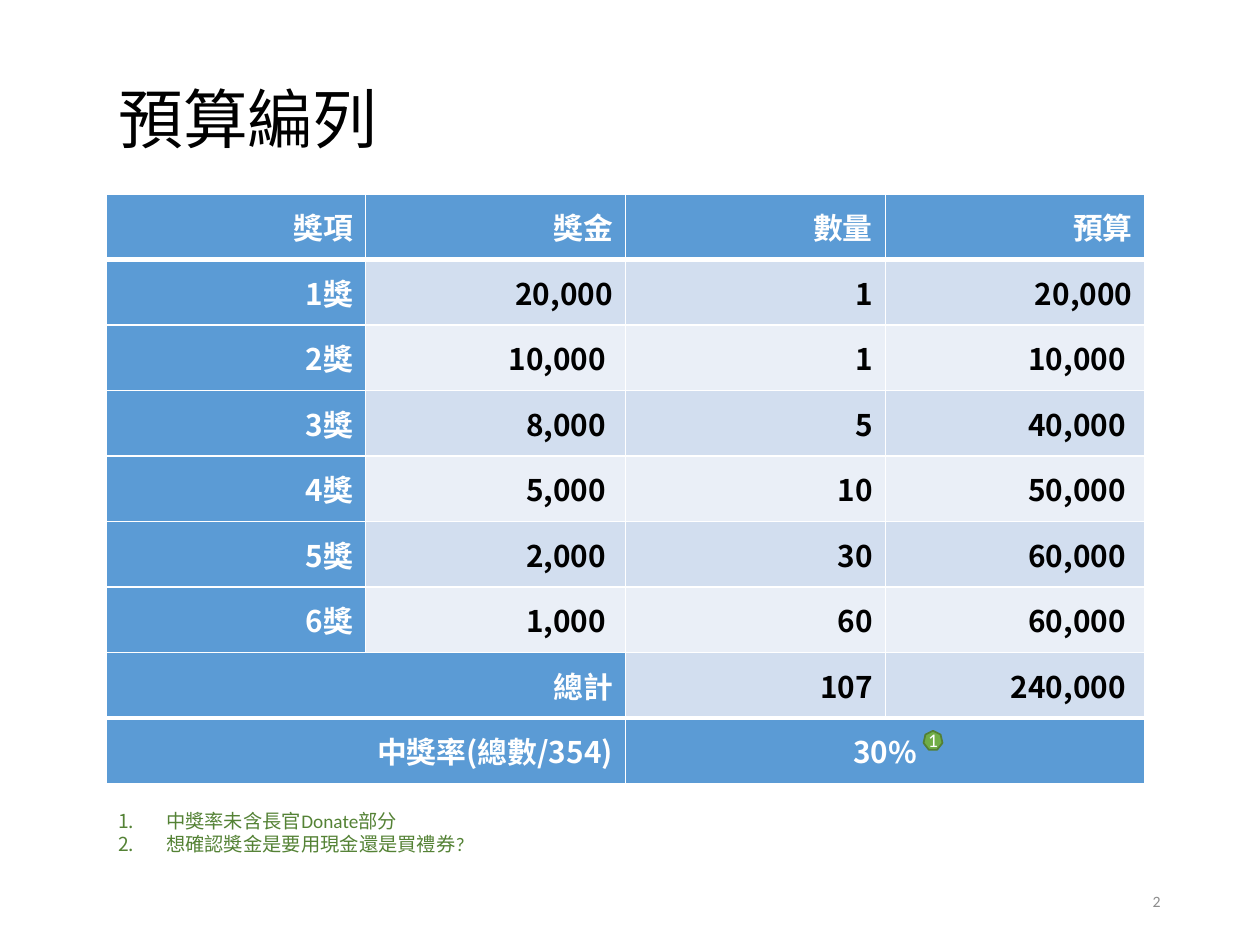
from lxml.etree import SubElement
from pptx import Presentation
from pptx.dml.color import RGBColor
from pptx.enum.shapes import MSO_SHAPE
from pptx.enum.text import MSO_ANCHOR, PP_ALIGN
from pptx.oxml.ns import qn
from pptx.util import Inches, Pt

# Content
TITLE = "預算編列"
HEAD = ("獎項", "獎金", "數量", "預算")
PRIZES = [
    ("1獎", "20,000", "1", "20,000"),
    ("2獎", "10,000 ", "1", "10,000 "),
    ("3獎", "8,000 ", "5", "40,000 "),
    ("4獎", "5,000 ", "10", "50,000 "),
    ("5獎", "2,000 ", "30", "60,000 "),
    ("6獎", "1,000 ", "60", "60,000 "),
]
TOTAL = ("總計", "", "107", "240,000 ")
RATE = ("中獎率(總數/354)", "", "30%", "")
NOTES = ["中獎率未含長官Donate部分", "想確認獎金是要用現金還是買禮券?"]
MARK, PAGE = "1", "2"

# Look
COLORS = {"white": "FFFFFF", "black": "000000", "blue": "5B9BD5",
          "odd": "D2DEEF", "even": "EAEFF7", "green": "70AD47",
          "edge": "538035", "note": "548235", "gray": "8C8C8C"}
CJK, LATIN = "Noto Sans CJK SC", "Calibri"
FONTS = {
    "title": {"size": Pt(37), "name": CJK, "bold": False},
    "cell": {"size": Pt(17), "name": CJK, "bold": True},
    "note": {"size": Pt(11), "name": LATIN},
    "page": {"size": Pt(9), "name": LATIN},
}
LEFT, WIDTH, TOP, ROW = 0.84, 8.25, 1.54, 0.52


def color(key):
    return RGBColor.from_string(COLORS[key])


def write(para, text, font, ink, align=PP_ALIGN.LEFT):
    run = para.add_run()
    run.text = text
    para.alignment = align
    for key, value in FONTS[font].items():
        setattr(run.font, key, value)
    run.font.color.rgb = color(ink)
    SubElement(run._r.get_or_add_rPr(), qn("a:ea"), typeface=CJK)


def border(cell, top, bottom):
    props = cell._tc.get_or_add_tcPr()
    for i, (side, size) in enumerate(
            (("L", 1), ("R", 1), ("T", top), ("B", bottom))):
        line = props.makeelement(qn("a:ln" + side), {"w": str(Pt(size))})
        fill = SubElement(line, qn("a:solidFill"))
        SubElement(fill, qn("a:srgbClr"), val=COLORS["white"])
        props.insert(i, line)


def box(slide, *area):
    frame = slide.shapes.add_textbox(*map(Inches, area)).text_frame
    frame.word_wrap = True
    return frame


def add_title(slide):
    title = slide.shapes.title
    title.left, title.top, title.width, title.height = map(
        Inches, (LEFT, 0.54, 7.97, 0.87))
    title.text_frame.vertical_anchor = MSO_ANCHOR.MIDDLE
    para = title.text_frame.paragraphs[0]
    para.line_spacing = 0.9
    write(para, TITLE, "title", "black")


def add_budget(slide):
    rows = [HEAD, *PRIZES, TOTAL, RATE]
    last = len(rows) - 1
    table = slide.shapes.add_table(
        len(rows), len(HEAD), Inches(LEFT), Inches(TOP),
        Inches(WIDTH), Inches(ROW * len(rows))).table
    table.first_col = table.last_row = True
    for r, row in enumerate(rows):
        for c, text in enumerate(row):
            cell = table.cell(r, c)
            strong = r in (0, last) or c == 0 or (r == last - 1 and c == 1)
            fill = "blue" if strong else "odd" if r % 2 else "even"
            cell.fill.solid()
            cell.fill.fore_color.rgb = color(fill)
            cell.vertical_anchor = MSO_ANCHOR.MIDDLE
            border(cell, 3 if r in (1, last) else 1,
                   3 if r in (0, last - 1) else 1)
            if text:
                center = r == last and c == 2
                write(cell.text_frame.paragraphs[0], text, "cell",
                      "white" if strong else "black",
                      PP_ALIGN.CENTER if center else PP_ALIGN.RIGHT)
    for r, c in ((last - 1, 0), (last, 0), (last, 2)):
        table.cell(r, c).merge(table.cell(r, c + 1))


def add_mark(slide):
    mark = slide.shapes.add_shape(
        MSO_SHAPE.HEPTAGON, *map(Inches, (7.33, 5.8, 0.15, 0.15)))
    mark.shadow.inherit = False
    mark.fill.solid()
    mark.fill.fore_color.rgb = color("green")
    mark.line.color.rgb = color("edge")
    mark.line.width = Pt(1)
    frame = mark.text_frame
    for side in ("left", "right", "top", "bottom"):
        setattr(frame, "margin_" + side, 0)
    frame.word_wrap = False
    frame.vertical_anchor = MSO_ANCHOR.MIDDLE
    write(frame.paragraphs[0], MARK, "note", "white", PP_ALIGN.CENTER)


def add_notes(slide):
    frame = box(slide, LEFT, 6.37, WIDTH, 0.47)
    for i, text in enumerate(NOTES):
        para = frame.add_paragraph() if i else frame.paragraphs[0]
        write(para, text, "note", "note")
        props = para._p.get_or_add_pPr()
        props.set("marL", str(Inches(0.38)))
        props.set("indent", str(-Inches(0.38)))
        SubElement(props, qn("a:buFont"), typeface="+mj-lt")
        SubElement(props, qn("a:buAutoNum"), type="arabicPeriod")


def main():
    deck = Presentation()
    deck.slide_width, deck.slide_height = Inches(10), Inches(7.5)
    slide = deck.slides.add_slide(deck.slide_layouts[5])
    add_title(slide)
    # Page number
    page = box(slide, 7.06, 6.95, 2.25, 0.4)
    page.vertical_anchor = MSO_ANCHOR.MIDDLE
    write(page.paragraphs[0], PAGE, "page", "gray", PP_ALIGN.RIGHT)
    # Budget, its footnote mark and the notes
    add_budget(slide)
    add_mark(slide)
    add_notes(slide)
    deck.save("out.pptx")


if __name__ == "__main__":
    main()
